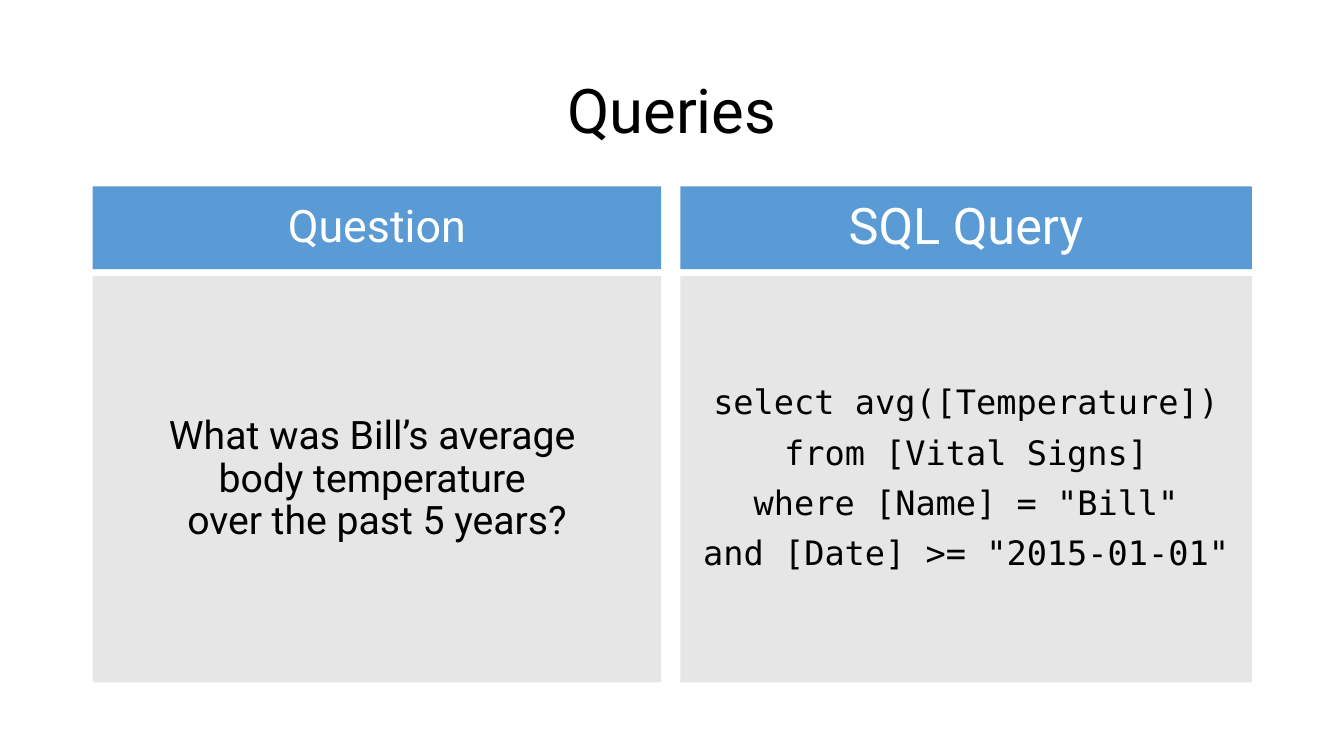
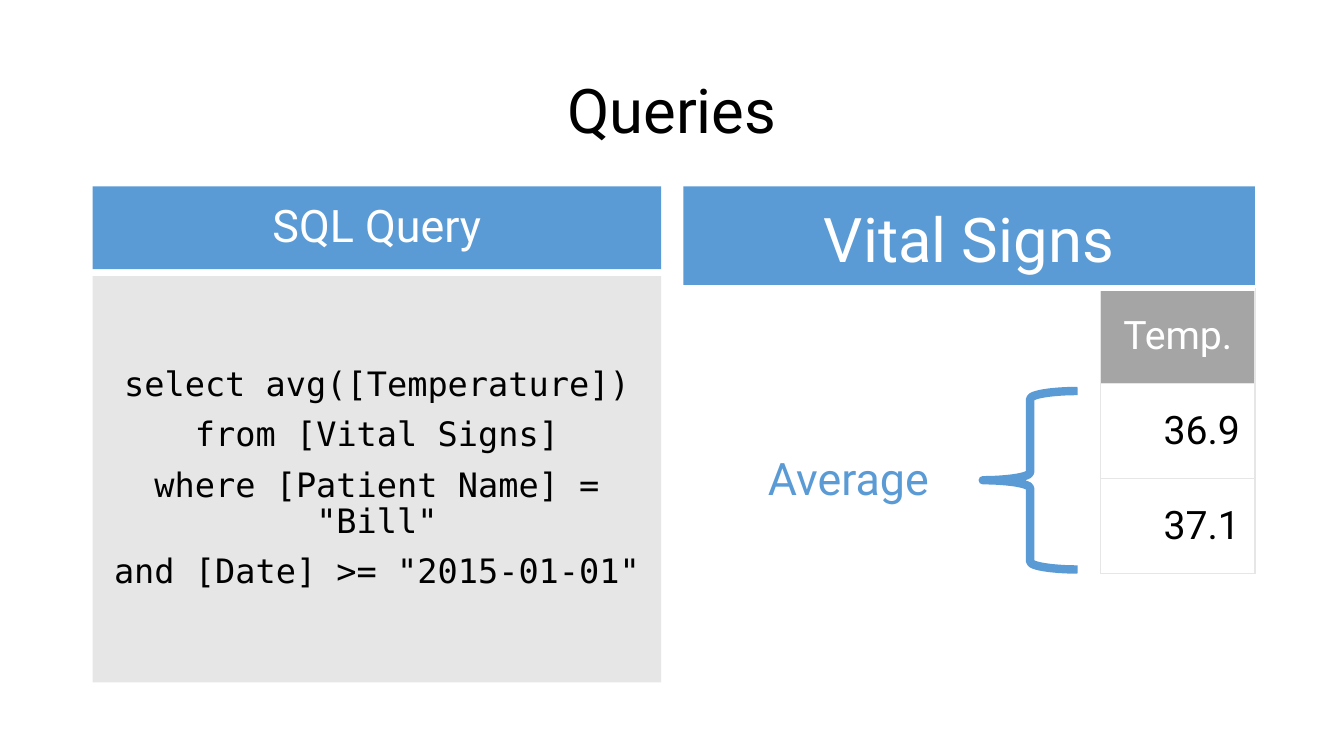
from collections import namedtuple
from dataclasses import dataclass

from lxml import etree
from pptx import Presentation
from pptx import util as u
from pptx.dml.color import RGBColor
from pptx.enum import shapes, text
from pptx.oxml import ns

Pt = u.Pt
Box = namedtuple("Box", "left top width height")


@dataclass(frozen=True)
class Theme:
    blue: str = "5B9BD5"
    pale: str = "E7E6E6"
    gray: str = "A5A5A5"
    white: str = "FFFFFF"
    black: str = "000000"
    sans: str = "Roboto"
    mono: str = "DejaVu Sans Mono"
    title: int = 44
    heading: int = 32
    large_heading: int = 36
    body: int = 28
    code: int = 24


THEME = Theme()
CENTER, RIGHT, LEFT = (text.PP_ALIGN.CENTER, text.PP_ALIGN.RIGHT,
                       text.PP_ALIGN.LEFT)
MIDDLE = text.MSO_ANCHOR.MIDDLE
TITLE_SPACING = {"line_spacing": 0.9}
BODY_SPACING = {"line_spacing": 0.9, "space_before": Pt(10)}

# Slide regions, in points
SLIDE_SIZE = (960, 540)
TITLE_BOX = Box(66, 28.8, 828, 104.4)
LEFT_BOX = Box(66.24, 133.2, 406.08, 354.24)
RIGHT_BOX = Box(486, 133.2, 408.24, 354.24)
VITALS_BOX = Box(488.16, 133.2, 408.24, 276.48)
HEADING_HEIGHT = 59.04
PANEL_GAP = 5.04


def set_values(target, values):
    for name, value in values.items():
        setattr(target, name, value)


def points(box):
    return [Pt(value) for value in box]


def write(frame, wording, size, color=THEME.black, font=THEME.sans,
          align=CENTER, spacing=None):
    """One paragraph for each line of wording; a vertical tab is a line break."""
    for index, line in enumerate(wording.split("\n")):
        paragraph = frame.add_paragraph() if index else frame.paragraphs[0]
        paragraph.text = line
        set_values(paragraph, {"alignment": align, **(spacing or {})})
        for run in paragraph.runs:
            set_values(run.font, {"size": Pt(size), "name": font, "bold": False})
            run.font.color.rgb = RGBColor.from_string(color)


def paint(fill, color):
    fill.solid()
    fill.fore_color.rgb = RGBColor.from_string(color)


def add_title(slide, box, wording):
    frame = slide.shapes.add_textbox(*points(box)).text_frame
    set_values(frame, {"word_wrap": True, "vertical_anchor": MIDDLE})
    write(frame, wording, THEME.title, spacing=TITLE_SPACING)


def add_block(slide, box, fill, wording, size, side_margin=7.2, **style):
    block = slide.shapes.add_shape(shapes.MSO_SHAPE.RECTANGLE, *points(box))
    block.shadow.inherit = False
    paint(block.fill, fill)
    block.line.fill.background()
    set_values(block.text_frame, {
        "word_wrap": True, "vertical_anchor": MIDDLE,
        "margin_left": Pt(side_margin), "margin_right": Pt(side_margin)})
    write(block.text_frame, wording, size, **style)


def add_panel(slide, box, heading, wording, heading_size=THEME.heading,
              size=THEME.code, font=THEME.mono, side_margin=7.2):
    """A blue heading above a pale block of text."""
    add_block(slide, box._replace(height=HEADING_HEIGHT), THEME.blue, heading,
              heading_size, color=THEME.white, spacing=BODY_SPACING)
    offset = HEADING_HEIGHT + PANEL_GAP
    body = box._replace(top=box.top + offset, height=box.height - offset)
    add_block(slide, body, THEME.pale, wording, size, side_margin,
              font=font, spacing=BODY_SPACING)


def add_borders(cell, color, width):
    properties = cell._tc.get_or_add_tcPr()
    for side in ("a:lnL", "a:lnR", "a:lnT", "a:lnB"):
        line = etree.SubElement(properties, ns.qn(side), w=str(Pt(width)))
        fill = etree.SubElement(line, ns.qn("a:solidFill"))
        etree.SubElement(fill, ns.qn("a:srgbClr"), val=color)


def add_readings(slide, box, heading, readings):
    """A one-column table: a gray heading, then right-aligned values."""
    wordings = [heading, *readings]
    table = slide.shapes.add_table(len(wordings), 1, *points(box)).table
    table.horz_banding = False
    for index, wording in enumerate(wordings):
        table.rows[index].height = Pt(box.height / len(wordings))
        cell = table.cell(index, 0)
        cell.vertical_anchor = MIDDLE
        add_borders(cell, THEME.pale, 1)
        if index == 0:
            paint(cell.fill, THEME.gray)
            write(cell.text_frame, wording, THEME.body, THEME.white)
        else:
            paint(cell.fill, THEME.white)
            set_values(cell, {f"margin_{side}": Pt(10.8) for side in
                              ("left", "right", "top", "bottom")})
            write(cell.text_frame, wording, THEME.body, align=RIGHT)


def add_vitals(slide, box):
    """The source table with the column that the query averages."""
    heading = box._replace(height=72.72)
    bottom = heading.top + heading.height
    right = box.left + box.width
    column_width = 110.16
    add_readings(slide, Box(right - column_width, bottom, column_width,
                            box.height - heading.height),
                 "Temp.", ["36.9", "37.1"])
    add_block(slide, heading, THEME.blue, "Vital Signs", THEME.title,
              color=THEME.white)

    # White rule under the heading
    rule = slide.shapes.add_connector(
        shapes.MSO_CONNECTOR.STRAIGHT, *points((box.left, bottom, right, bottom)))
    rule.line.width = Pt(4.5)
    rule.line.color.rgb = RGBColor.from_string(THEME.white)
    etree.SubElement(rule._element.spPr, ns.qn("a:effectLst"))

    # Brace around the values
    brace = slide.shapes.add_shape(
        shapes.MSO_SHAPE.LEFT_BRACE,
        *points((box.left + 213.84, bottom + 73.44, 67.68, 127.44)))
    brace.shadow.inherit = False
    brace.fill.background()
    brace.line.width = Pt(6)
    brace.line.color.rgb = RGBColor.from_string(THEME.blue)

    # Label beside the brace
    label = slide.shapes.add_textbox(
        *points((box.left + 53.28, bottom + 112.32, 130.32, 46.08)))
    set_values(label.text_frame, {
        "word_wrap": False, "auto_size": text.MSO_AUTO_SIZE.SHAPE_TO_FIT_TEXT})
    write(label.text_frame, "Average", THEME.heading, THEME.blue, align=LEFT)


def sql_query(name_column):
    return "\n".join(["select avg([Temperature])", "from [Vital Signs]",
                      f'where [{name_column}] = "Bill"',
                      'and [Date] >= "2015-01-01"'])


def add_slide(presentation):
    slide = presentation.slides.add_slide(presentation.slide_layouts[6])
    add_title(slide, TITLE_BOX, "Queries")
    return slide


def build_question_slide(presentation):
    slide = add_slide(presentation)
    add_panel(slide, LEFT_BOX, "Question",
              "What was Bill’s average \vbody temperature \v"
              "over the past 5 years?", size=THEME.body, font=THEME.sans)
    add_panel(slide, RIGHT_BOX, "SQL Query", sql_query("Name"),
              heading_size=THEME.large_heading, side_margin=0)


def build_result_slide(presentation):
    slide = add_slide(presentation)
    add_panel(slide, LEFT_BOX, "SQL Query", sql_query("Patient Name"))
    add_vitals(slide, VITALS_BOX)


presentation = Presentation()
set_values(presentation, dict(zip(("slide_width", "slide_height"),
                                  points(SLIDE_SIZE))))
build_question_slide(presentation)
build_result_slide(presentation)
presentation.save("out.pptx")
